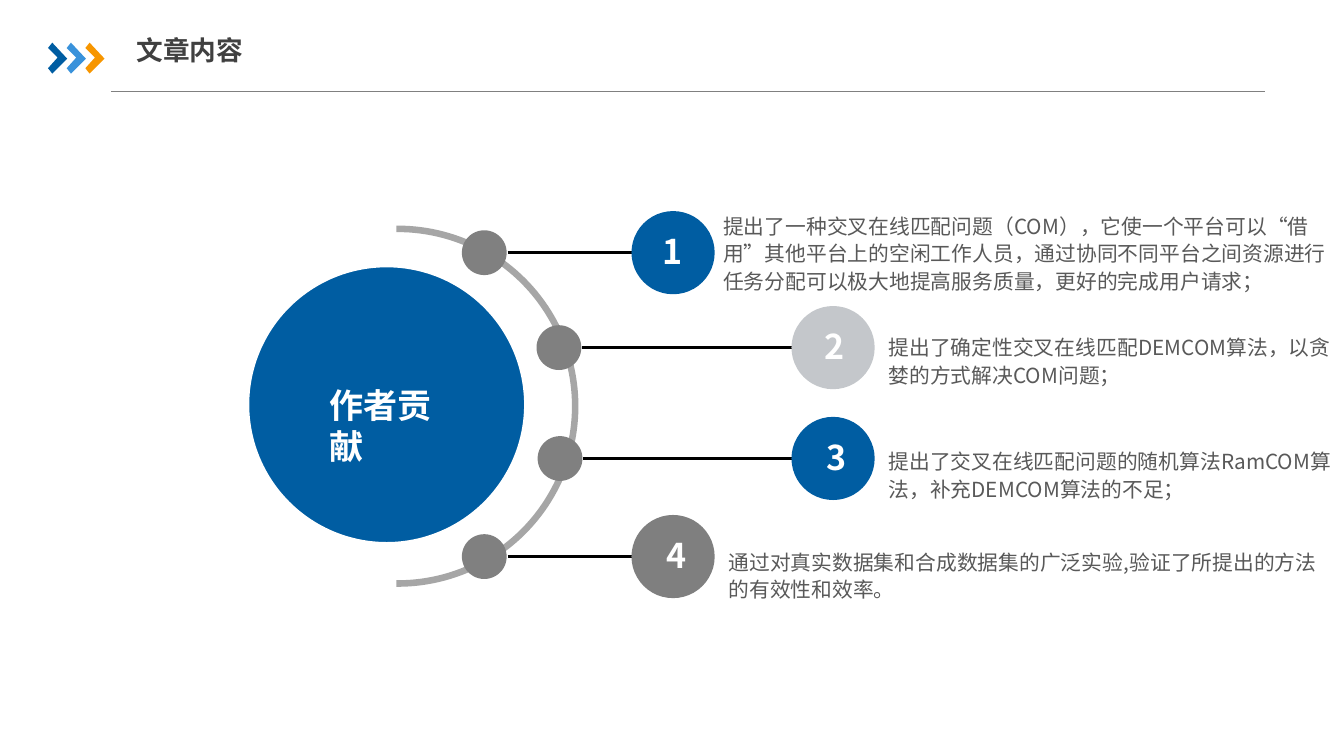
from dataclasses import dataclass
from typing import Any

from lxml.etree import SubElement
from pptx import Presentation
from pptx.dml.color import RGBColor
from pptx.enum.lang import MSO_LANGUAGE_ID as Lang
from pptx.enum.shapes import MSO_CONNECTOR as Link, MSO_SHAPE as Shape
from pptx.enum.text import MSO_ANCHOR as Anchor, MSO_AUTO_SIZE as Auto, PP_ALIGN as Align
from pptx.oxml.ns import qn
from pptx.util import Inches, Pt

FONT = "Noto Sans CJK SC"
WHITE = RGBColor(0xFF, 0xFF, 0xFF)
BLACK = RGBColor(0x00, 0x00, 0x00)
BLUE = RGBColor(0x00, 0x5D, 0xA2)
SKY = RGBColor(0x39, 0x92, 0xDB)
AMBER = RGBColor(0xF7, 0x96, 0x00)
SILVER = RGBColor(0xC4, 0xC7, 0xCB)
GRAY = RGBColor(0x80, 0x80, 0x80)
ASH = RGBColor(0x7F, 0x7F, 0x7F)
RING = RGBColor(0xA6, 0xA6, 0xA6)
DARK = RGBColor(0x40, 0x40, 0x40)
TEXT = RGBColor(0x59, 0x59, 0x59)

DOT, BADGE = 0.42, 0.78


@dataclass
class Point:
    """A contribution: its row centre, dot, badge, digit shift and text box."""
    mid: float
    dot: float
    badge: float
    shift: float
    fill: RGBColor
    box: tuple[float, float, float, float]
    text: str


POINTS = [
    Point(2.37, 4.33, 5.92, 0, BLUE, (6.71, 1.94, 5.85, 0.85),
          "提出了一种交叉在线匹配问题（COM），它使一个平台可以“借用”其他平台上的空闲工作人员，"
          "通过协同不同平台之间资源进行任务分配可以极大地提高服务质量，更好的完成用户请求；"),
    Point(3.26, 5.03, 7.42, 0.01, SILVER, (8.26, 3.08, 4.3, 0.59),
          "提出了确定性交叉在线匹配DEMCOM算法，以贪婪的方式解决COM问题；"),
    Point(4.3, 5.04, 7.42, 0.03, BLUE, (8.26, 4.15, 4.3, 0.59),
          "提出了交叉在线匹配问题的随机算法RamCOM算法，补充DEMCOM算法的不足；"),
    Point(5.22, 4.33, 5.92, 0.03, ASH, (6.76, 5.09, 5.8, 0.59),
          "通过对真实数据集和合成数据集的广泛实验,验证了所提出的方法的有效性和效率。"),
]


def style(item: Any, fmt: dict[str, Any]) -> None:
    for key, val in fmt.items():
        setattr(item, key, val)


def place(item: Any, box: tuple[float, float, float, float]) -> None:
    style(item, dict(zip(("left", "top", "width", "height"), map(Inches, box))))


def write(item: Any, text: str, size: float, color: RGBColor, bold: bool,
          pad: tuple[float, float], anchor: Anchor = Anchor.TOP,
          align: Align = Align.LEFT, space: float = 1.0) -> None:
    side, edge = map(Inches, pad)
    frame = item.text_frame
    style(frame, {"word_wrap": True, "auto_size": Auto.NONE, "vertical_anchor": anchor,
                  "margin_left": side, "margin_right": side,
                  "margin_top": edge, "margin_bottom": edge})
    para = frame.paragraphs[0]
    style(para, {"alignment": align, "line_spacing": space,
                 "space_before": Pt(0), "space_after": Pt(0)})
    run = para.add_run()
    run.text = text
    style(run.font, {"name": FONT, "size": Pt(size), "bold": bold,
                     "language_id": Lang.SIMPLIFIED_CHINESE})
    run.font.color.rgb = color
    SubElement(run.font._element, qn("a:ea"), typeface=FONT)


def plain(para: Any) -> None:
    """Clear the bullet and indent of a list paragraph."""
    props = para._p.get_or_add_pPr()
    props.set("marL", "0")
    props.set("indent", "0")
    SubElement(props, qn("a:buNone"))


def trim(page: Any) -> None:
    """Drop the unused footer placeholders, which lie below the slide."""
    for item in list(page.placeholders):
        if item.top + item.height > Inches(7.09):
            item._element.getparent().remove(item._element)


def paint(item: Any, fill: RGBColor, line: RGBColor | None = None, width: float = 1) -> None:
    item.shadow.inherit = False
    item.fill.solid()
    item.fill.fore_color.rgb = fill
    if line is None:
        item.line.fill.background()
    else:
        item.line.color.rgb = line
        item.line.width = Pt(width)


def disc(shapes: Any, left: float, top: float, size: float, fill: RGBColor,
         line: RGBColor | None = None) -> Any:
    item = shapes.add_shape(Shape.OVAL, *map(Inches, (left, top, size, size)))
    paint(item, fill, line)
    return item


def rule(shapes: Any, start: float, end: float, y: float, color: RGBColor, width: float) -> None:
    item = shapes.add_connector(Link.STRAIGHT, *map(Inches, (start, y, end, y)))
    item.line.color.rgb = color
    item.line.width = Pt(width)
    SubElement(item._element.spPr, qn("a:effectLst"))


def arrow(shapes: Any, left: float, fill: RGBColor) -> None:
    edge = [(0, 0.45), (0.04, 0.4), (0.18, 0.55), (0.04, 0.69), (0, 0.64), (0.09, 0.54)]
    pts = [(Inches(left + x), Inches(y)) for x, y in edge]
    form = shapes.build_freeform(*pts[0])
    form.add_line_segments(pts[1:], close=True)
    paint(form.convert_to_shape(), fill)


def main() -> None:
    deck = Presentation()
    style(deck, {"slide_width": Inches(12.6), "slide_height": Inches(7.09)})
    for page in (*deck.slide_layouts, deck.slide_master):
        trim(page)
    slide = deck.slides.add_slide(deck.slide_layouts.get_by_name("Comparison"))
    shapes = slide.shapes

    # Header
    rule(shapes, 1.04, 11.86, 0.86, GRAY, 0.75)
    for i, fill in enumerate((BLUE, SKY, AMBER)):
        arrow(shapes, 0.45 + 0.175 * i, fill)
    title = shapes.title
    place(title, (1.28, 0.26, 8.88, 0.42))
    write(title, "文章内容", 18, DARK, True, (0, 0.05), Anchor.MIDDLE)

    # Half ring and hub
    ring = shapes.add_shape(Shape.BLOCK_ARC, *map(Inches, (2.05, 2.13, 3.36, 3.36)))
    for i, val in enumerate((162, 54, 0.01)):
        ring.adjustments[i] = val
    paint(ring, RING, RING, 2)
    SubElement(ring.line._get_or_add_ln(), qn("a:miter"), lim="800000")
    disc(shapes, 2.33, 2.5, 2.59, BLUE, WHITE)
    hub = shapes.add_textbox(*map(Inches, (3.02, 3.57, 1.4, 0.85)))
    write(hub, "作者贡献", 23, WHITE, True, (0.07, 0.04))

    # Contributions
    bodies = [b for b in slide.placeholders if b.placeholder_format.idx > 0]
    for num, (point, body) in enumerate(zip(POINTS, bodies), 1):
        disc(shapes, point.dot, point.mid - DOT / 2, DOT, GRAY)
        rule(shapes, point.dot + DOT + 0.01, point.badge + 0.02, point.mid, BLACK, 2)
        badge = disc(shapes, point.badge, point.mid - BADGE / 2, BADGE, point.fill)
        write(badge, str(num), 23, WHITE, True, (0, 0), Anchor.MIDDLE, Align.CENTER)
        style(badge.text_frame, {"margin_left": Inches(2 * point.shift),
                                 "margin_bottom": Inches(0.03)})
        place(body, point.box)
        write(body, point.text, 14, TEXT, False, (0.07, 0.04), space=1.1)
        plain(body.text_frame.paragraphs[0])

    deck.save("out.pptx")


if __name__ == "__main__":
    main()
